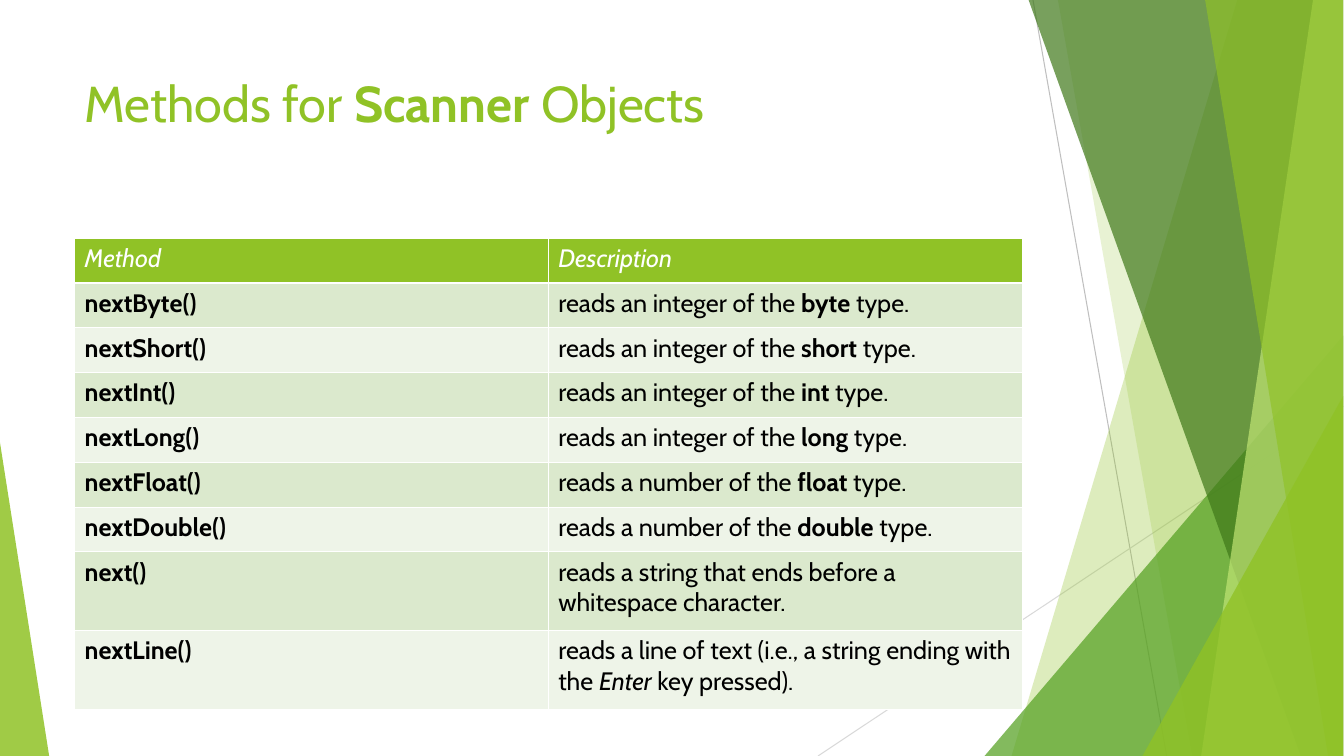
from dataclasses import dataclass

from lxml.etree import SubElement
from pptx import Presentation
from pptx.dml.color import RGBColor
from pptx.enum.shapes import MSO_CONNECTOR, MSO_SHAPE
from pptx.enum.text import MSO_ANCHOR
from pptx.oxml.ns import qn
from pptx.util import Cm, Pt

TITLE = ["Methods for ", ("Scanner ", "b"), "Objects"]
HEADER = ([("Method", "i")], [("Description", "i")])
METHODS = [
    ("nextByte()", ["reads an integer of the ", ("byte ", "b"), "type."]),
    ("nextShort()", ["reads an integer of the ", ("short ", "b"), "type."]),
    ("nextInt()", ["reads an integer of the ", ("int ", "b"), "type."]),
    ("nextLong()", ["reads an integer of the ", ("long ", "b"), "type."]),
    ("nextFloat()", ["reads a number of the ", ("float ", "b"), "type."]),
    ("nextDouble()", ["reads a number of the ", ("double ", "b"), "type."]),
    ("next()", ["reads a string that ends before a whitespace character."]),
    ("nextLine()", ["reads a line of text (i.e., a string ending with the ",
                    ("Enter ", "i"), "key pressed)."]),
]
ROW_HEIGHTS = [1.13] * 7 + [1.98] * 2
COL_WIDTH = 11.94


@dataclass(frozen=True)
class Theme:
    font: str = "Cabin"
    title_size: float = 36
    body_size: float = 18
    accent: str = "90C226"
    leaf: str = "54A021"
    forest: str = "3F7819"
    lime: str = "C0E474"
    band_dark: str = "DBE9CD"
    band_light: str = "EEF4E8"
    text: str = "000000"
    white: str = "FFFFFF"
    line_dark: str = "BFBFBF"
    line_light: str = "D9D9D9"


T = Theme()
WIDTH, HEIGHT, RIGHT = 33.88, 19.05, 33.86
LINES = [
    ((26.04, 0), (29.41, HEIGHT), T.line_dark),
    ((RIGHT, 10.24), (20.62, HEIGHT), T.line_light),
]
FACETS = [
    ("band", (31.19, 25.5), T.accent, 30),
    ("band", (26.67, 30.05), T.accent, 20),
    ("triangle", (24.82, 8.46, 9.04, 1), T.leaf, 72),
    ("band", (25.93, 32.79), T.forest, 70),
    ("band", (33.1, 30.28), T.lime, 70),
    ("band", (30.38, 33.48), T.accent, 65),
    ("triangle", (28.8, 9.98, 5.06, 1), T.accent, 80),
    ("triangle", (0, 11.15, 1.24, 0), T.accent, 85),
]


def rgb(color):
    return RGBColor.from_string(color)


def add_text(tf, runs, *, size, color, bold=False):
    p = tf.paragraphs[0]
    for run in runs:
        text, style = run if isinstance(run, tuple) else (run, "")
        r = p.add_run()
        r.text = text
        r.font.name, r.font.size = T.font, Pt(size)
        r.font.color.rgb = rgb(color)
        r.font.bold = bold or style == "b"
        r.font.italic = style == "i"


def add_line(shapes, start, end, color):
    line = shapes.add_connector(
        MSO_CONNECTOR.STRAIGHT, *(Cm(v) for v in (*start, *end)))
    line.line.color.rgb = rgb(color)
    line.line.width = Pt(0.75)
    SubElement(line._element.spPr, qn("a:effectLst"))


def add_facet(shapes, kind, geometry, color, opacity):
    if kind == "band":
        top_x, bottom_x = geometry
        builder = shapes.build_freeform(Cm(top_x), 0)
        corners = [(RIGHT, 0), (RIGHT, HEIGHT), (bottom_x, HEIGHT)]
        builder.add_line_segments([(Cm(x), Cm(y)) for x, y in corners])
        sp = builder.convert_to_shape()
    else:
        x, y, w, apex = geometry
        sp = shapes.add_shape(MSO_SHAPE.ISOSCELES_TRIANGLE,
                              Cm(x), Cm(y), Cm(w), Cm(HEIGHT - y))
        sp.adjustments[0] = apex
    sp.shadow.inherit = False
    sp.line.fill.background()
    sp.fill.solid()
    sp.fill.fore_color.rgb = rgb(color)
    fill = sp._element.spPr.find(qn("a:solidFill"))
    SubElement(fill[0], qn("a:alpha"), val=str(opacity * 1000))


def set_borders(cell, **widths):
    tc_pr = cell._tc.get_or_add_tcPr()
    for side in "LRTB":
        width = Pt(widths.get(side, 0.45))
        ln = SubElement(tc_pr, qn(f"a:ln{side}"), w=str(width))
        fill = SubElement(ln, qn("a:solidFill"))
        SubElement(fill, qn("a:srgbClr"), val=T.white)


def add_methods_table(shapes):
    rows = [HEADER] + [([name], description) for name, description in METHODS]
    frame = shapes.add_table(len(rows), 2, Cm(1.88), Cm(6),
                             Cm(2 * COL_WIDTH), Cm(sum(ROW_HEIGHTS)))
    table = frame.table
    table.horz_banding = False
    for col in table.columns:
        col.width = Cm(COL_WIDTH)
    for i, (row, height) in enumerate(zip(rows, ROW_HEIGHTS)):
        table.rows[i].height = Cm(height)
        band = T.band_dark if i % 2 else T.band_light
        heavy = {0: {"B": 1.47}, 1: {"T": 1.47}}.get(i, {})
        for j, runs in enumerate(row):
            cell = table.cell(i, j)
            set_borders(cell, **heavy)
            cell.fill.solid()
            cell.fill.fore_color.rgb = rgb(band if i else T.accent)
            add_text(cell.text_frame, runs, size=T.body_size,
                     color=T.text if i else T.white, bold=i > 0 and j == 0)


def main():
    """Build the slide on Scanner methods."""
    prs = Presentation()
    prs.slide_width, prs.slide_height = Cm(WIDTH), Cm(HEIGHT)
    shapes = prs.slides.add_slide(prs.slide_layouts[6]).shapes
    for line in LINES:
        add_line(shapes, *line)
    for facet in FACETS:
        add_facet(shapes, *facet)
    tf = shapes.add_textbox(Cm(1.88), Cm(1.7), Cm(23.88), Cm(3.66)).text_frame
    tf.word_wrap = True
    tf.vertical_anchor = MSO_ANCHOR.TOP
    add_text(tf, TITLE, size=T.title_size, color=T.accent)
    add_methods_table(shapes)
    prs.save("out.pptx")


if __name__ == "__main__":
    main()
